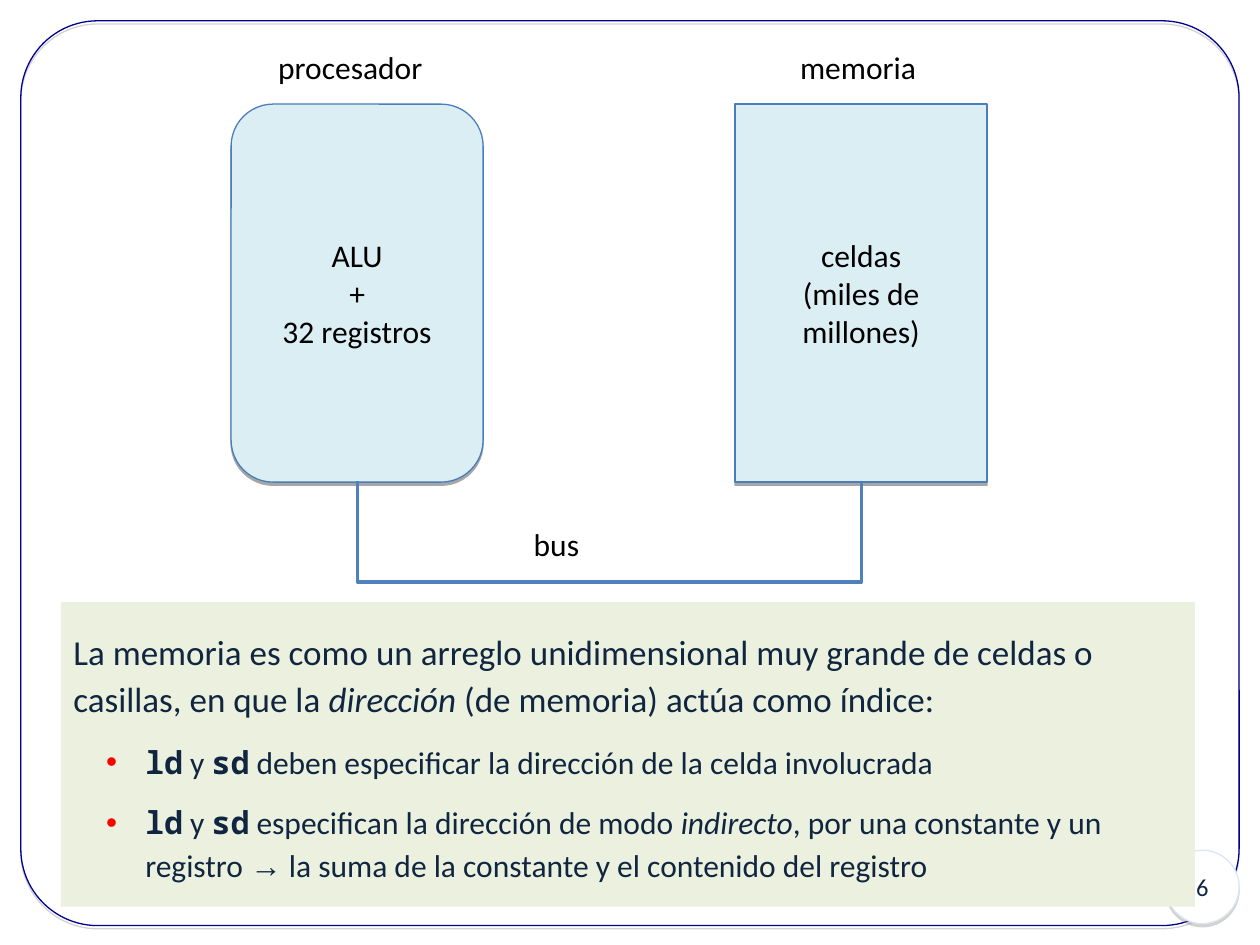
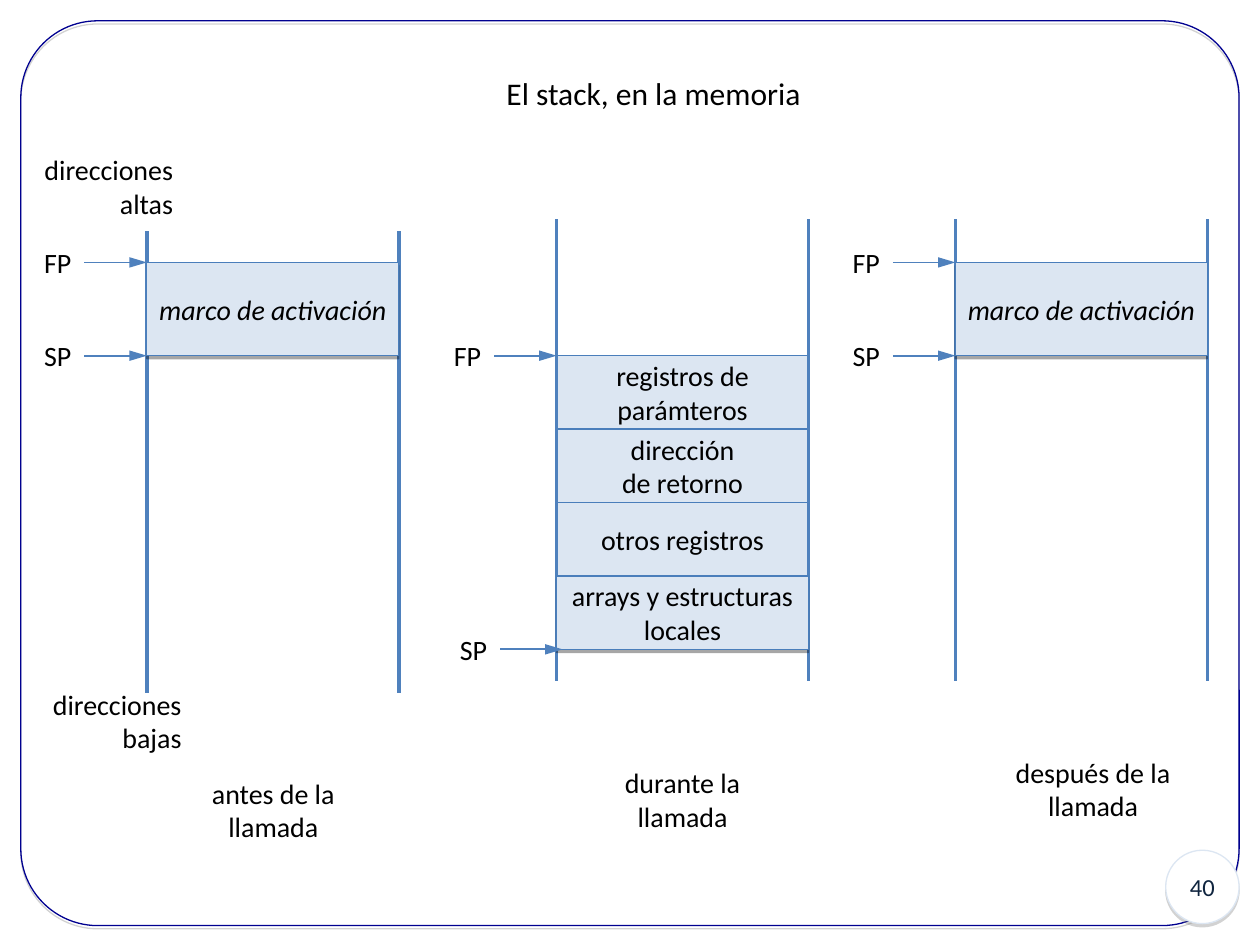
from dataclasses import dataclass
from typing import NamedTuple

from lxml import etree
from pptx import Presentation
from pptx.dml.color import RGBColor
from pptx.enum.shapes import MSO_CONNECTOR, MSO_SHAPE
from pptx.enum.text import MSO_ANCHOR, MSO_AUTO_SIZE, PP_ALIGN
from pptx.oxml.ns import qn
from pptx.util import Cm, Pt

RECT, ROUND_RECT, OVAL = MSO_SHAPE.RECTANGLE, MSO_SHAPE.ROUNDED_RECTANGLE, MSO_SHAPE.OVAL
STRAIGHT, ELBOW = MSO_CONNECTOR.STRAIGHT, MSO_CONNECTOR.ELBOW
LEFT, CENTER, RIGHT = PP_ALIGN.LEFT, PP_ALIGN.CENTER, PP_ALIGN.RIGHT
TOP, MIDDLE = MSO_ANCHOR.TOP, MSO_ANCHOR.MIDDLE
FIT_SHAPE = MSO_AUTO_SIZE.SHAPE_TO_FIT_TEXT

FONT, MONO, SYMBOL = "Calibri", "Noto Sans Mono", "Arial"
BLACK, WHITE, INK, GRAY = "000000", "FFFFFF", "10253F", "808080"
NAVY, EDGE, WIRE = "000090", "4A7EBB", "4F81BD"
AQUA, PALE, GREEN, RED = "DBEEF4", "DCE6F2", "EBF1DE", "FF0000"

STACK_WIDTH, RAIL_LENGTH, ARROW_LENGTH = 5.08, 9.31, 1.26


class Box(NamedTuple):
    x: float
    y: float
    w: float
    h: float


class Run(NamedTuple):
    text: str
    font: str = FONT
    bold: bool = False
    italic: bool = False


@dataclass
class Unit:
    name: str
    name_box: Box
    contents: str
    box: Box
    kind: int


@dataclass
class Stack:
    x: float
    rail_top: float
    block_top: float
    block_height: float
    blocks: list[str]
    caption: str
    caption_box: Box
    italic: bool = False
    sp_shift: float = 0


UNITS = [
    Unit("memoria", Box(15.88, 0.84, 2.84, 1.02), "celdas\n(miles de\nmillones)",
         Box(14.82, 2.1, 5.08, 7.62), RECT),
    Unit("procesador", Box(5.36, 0.84, 3.43, 1.02), "ALU\n+\n32 registros",
         Box(4.66, 2.1, 5.08, 7.62), ROUND_RECT),
]

STACKS = [
    Stack(2.96, 4.66, 5.29, 1.88, ["marco de activación"], "antes de la\nllamada",
          Box(4.01, 15.52, 3, 1.63), italic=True),
    Stack(11.22, 4.42, 7.17, 1.48,
          ["registros de\nparámteros", "dirección\nde retorno", "otros registros",
           "arrays y estructuras\nlocales"],
          "durante la\nllamada", Box(12.34, 15.31, 2.84, 1.63), sp_shift=0.12),
    Stack(19.26, 4.42, 5.29, 1.88, ["marco de activación"], "después de la\nllamada",
          Box(20.22, 15.1, 3.63, 1.63), italic=True),
]

INTRO = [
    Run("La memoria es como un arreglo unidimensional muy grande de celdas o casillas, en que la "),
    Run("dirección", italic=True),
    Run(" (de memoria) actúa como índice:"),
]
LD_Y_SD = [Run("ld", MONO, bold=True), Run(" y "), Run("sd", MONO, bold=True)]
BULLETS = [
    LD_Y_SD + [Run(" deben especificar la dirección de la celda involucrada")],
    LD_Y_SD + [
        Run(" especifican la dirección de modo "),
        Run("indirecto", italic=True),
        Run(", por una constante y un registro "),
        Run("→", SYMBOL),
        Run(" la suma de la constante y el contenido del registro"),
    ],
]


def rgb(color: str) -> RGBColor:
    return RGBColor.from_string(color)


def lengths(values) -> list:
    return [Cm(v) for v in values]


def sub(parent, tag: str, **attrs):
    return etree.SubElement(parent, qn(tag), {k: str(v) for k, v in attrs.items()})


def write(tf, text: str, size: float, color: str = BLACK, align: int = LEFT,
          italic: bool = False) -> None:
    tf.text = text
    for p in tf.paragraphs:
        p.alignment = align
        p.font.name = FONT
        p.font.size = Pt(size)
        p.font.italic = italic
        p.font.color.rgb = rgb(color)


def add_label(s, box: Box, text: str, size: float = 16, align: int = LEFT) -> None:
    tf = s.shapes.add_textbox(*lengths(box)).text_frame
    tf.word_wrap = False
    tf.auto_size = FIT_SHAPE
    write(tf, text, size, align=align)


def add_shadow(sp, color: str) -> None:
    effects = sp._element.spPr.find(qn("a:effectLst"))
    shadow = sub(effects, "a:outerShdw", dist=Pt(1.8), dir=5400000, rotWithShape=0)
    sub(sub(shadow, "a:srgbClr", val=color), "a:alpha", val=35000)


def add_box(s, kind: int, box: Box, fill: str | None, line: str | None,
            shadow: str | None = None):
    sp = s.shapes.add_shape(kind, *lengths(box))
    sp.shadow.inherit = False
    if fill:
        sp.fill.solid()
        sp.fill.fore_color.rgb = rgb(fill)
    else:
        sp.fill.background()
    if line:
        sp.line.color.rgb = rgb(line)
        sp.line.width = Pt(0.75)
    else:
        sp.line.fill.background()
    if shadow:
        add_shadow(sp, shadow)
    sp.text_frame.vertical_anchor = MIDDLE
    return sp


def add_line(s, x1: float, y1: float, x2: float, y2: float, width: float,
             arrow: bool = False, kind: int = STRAIGHT):
    line = s.shapes.add_connector(kind, *lengths((x1, y1, x2, y2)))
    line.line.color.rgb = rgb(WIRE)
    line.line.width = Pt(width)
    if arrow:
        sub(line.line._get_or_add_ln(), "a:tailEnd", type="triangle", w="med", len="lg")
    sub(line._element.spPr, "a:effectLst")
    return line


def add_frame(s, number: int) -> None:
    frame = add_box(s, ROUND_RECT, Box(0.42, 0.42, 24.56, 18.24), None, NAVY, GRAY)
    frame.adjustments[0] = 0.085
    badge = add_box(s, OVAL, Box(23.5, 17.14, 1.48, 1.48), WHITE, PALE, GRAY)
    write(badge.text_frame, str(number), 14, INK, CENTER)


def add_bus(s) -> None:
    x, y, w, h, drop = 12.27, 4.64, 0.04, 10.16, 2.03
    bus = add_line(s, x, y, x + w, y + h, 2, kind=ELBOW)
    spPr = bus._element.spPr
    spPr.xfrm.set("rot", "16200000")
    spPr.xfrm.set("flipH", "1")
    guides = spPr.find(qn("a:prstGeom")).get_or_add_avLst()
    sub(guides, "a:gd", name="adj1", fmla=f"val {round(drop / w * 100000)}")


def add_runs(p, runs: list[Run], size: float, before: float) -> None:
    p.alignment = LEFT
    p.line_spacing = 1.12
    p.space_before = Pt(before)
    p.font.size = Pt(size)
    p.font.color.rgb = rgb(INK)
    for run in runs:
        r = p.add_run()
        r.text = run.text
        r.font.name = run.font
        r.font.bold = run.bold
        r.font.italic = run.italic


def add_bullet(p) -> None:
    p.level = 1
    pPr = p._p.get_or_add_pPr()
    pPr.set("marL", str(Cm(1.45)))
    pPr.set("indent", str(Cm(-0.79)))
    bullet = [etree.Element(qn(tag)) for tag in ("a:buClr", "a:buFont", "a:buChar")]
    sub(bullet[0], "a:srgbClr", val=RED)
    bullet[1].set("typeface", SYMBOL)
    bullet[2].set("char", "•")
    position = len(pPr.findall(qn("a:lnSpc")) + pPr.findall(qn("a:spcBef")))
    for offset, element in enumerate(bullet):
        pPr.insert(position + offset, element)


def add_explanation(s) -> None:
    tf = add_box(s, RECT, Box(1.23, 12.14, 22.86, 6.14), GREEN, None).text_frame
    add_runs(tf.paragraphs[0], INTRO, 20, 30)
    for runs in BULLETS:
        p = tf.add_paragraph()
        add_runs(p, runs, 18, 10.5)
        add_bullet(p)


def add_block(s, stack: Stack, index: int) -> None:
    y = stack.block_top + index * stack.block_height
    sp = add_box(s, RECT, Box(stack.x, y, STACK_WIDTH, stack.block_height), PALE, EDGE, BLACK)
    write(sp.text_frame, stack.blocks[index], 16, align=CENTER, italic=stack.italic)


def add_pointer(s, name: str, x: float, y: float) -> None:
    add_label(s, Box(x - 2.32, y - 0.46, 1.2, 0.94), name)
    add_line(s, x - ARROW_LENGTH, y, x, y, 1, arrow=True)


def add_stack(s, stack: Stack) -> None:
    last = len(stack.blocks) - 1
    right = stack.x + STACK_WIDTH
    bottom = stack.block_top + len(stack.blocks) * stack.block_height
    for i in range(last):
        add_block(s, stack, i)
    for x in (stack.x, right):
        add_line(s, x, stack.rail_top, x, stack.rail_top + RAIL_LENGTH, 2)
    if last == 0:
        add_line(s, stack.x, bottom, right, bottom, 0.25)
    add_block(s, stack, last)
    add_pointer(s, "FP", stack.x, stack.block_top)
    add_pointer(s, "SP", stack.x + stack.sp_shift, bottom)
    add_label(s, stack.caption_box, stack.caption, align=CENTER)


def build_memory_slide(prs) -> None:
    s = prs.slides.add_slide(prs.slide_layouts[6])
    add_frame(s, 6)
    for unit in UNITS:
        sp = add_box(s, unit.kind, unit.box, AQUA, EDGE, BLACK)
        write(sp.text_frame, unit.contents, 18, align=CENTER)
        add_label(s, unit.name_box, unit.name, 18)
    add_bus(s)
    add_explanation(s)
    add_label(s, Box(10.51, 10.45, 1.5, 1.02), "bus", 18)


def build_stack_slide(prs) -> None:
    s = prs.slides.add_slide(prs.slide_layouts[5])
    title = s.shapes.title
    title.left, title.top, title.width, title.height = lengths(Box(9.95, 1.36, 6.45, 1.02))
    title.text_frame.word_wrap = False
    title.text_frame.vertical_anchor = TOP
    write(title.text_frame, "El stack, en la memoria", 18, align=CENTER)
    add_frame(s, 40)
    for stack in STACKS:
        add_stack(s, stack)
    add_label(s, Box(0.64, 2.96, 3.1, 1.63), "direcciones\naltas", align=RIGHT)
    add_label(s, Box(0.81, 13.73, 3.1, 1.63), "direcciones\nbajas", align=RIGHT)


def main() -> None:
    prs = Presentation()
    prs.slide_width, prs.slide_height = Cm(25.4), Cm(19.05)
    build_memory_slide(prs)
    build_stack_slide(prs)
    prs.save("out.pptx")


if __name__ == "__main__":
    main()
